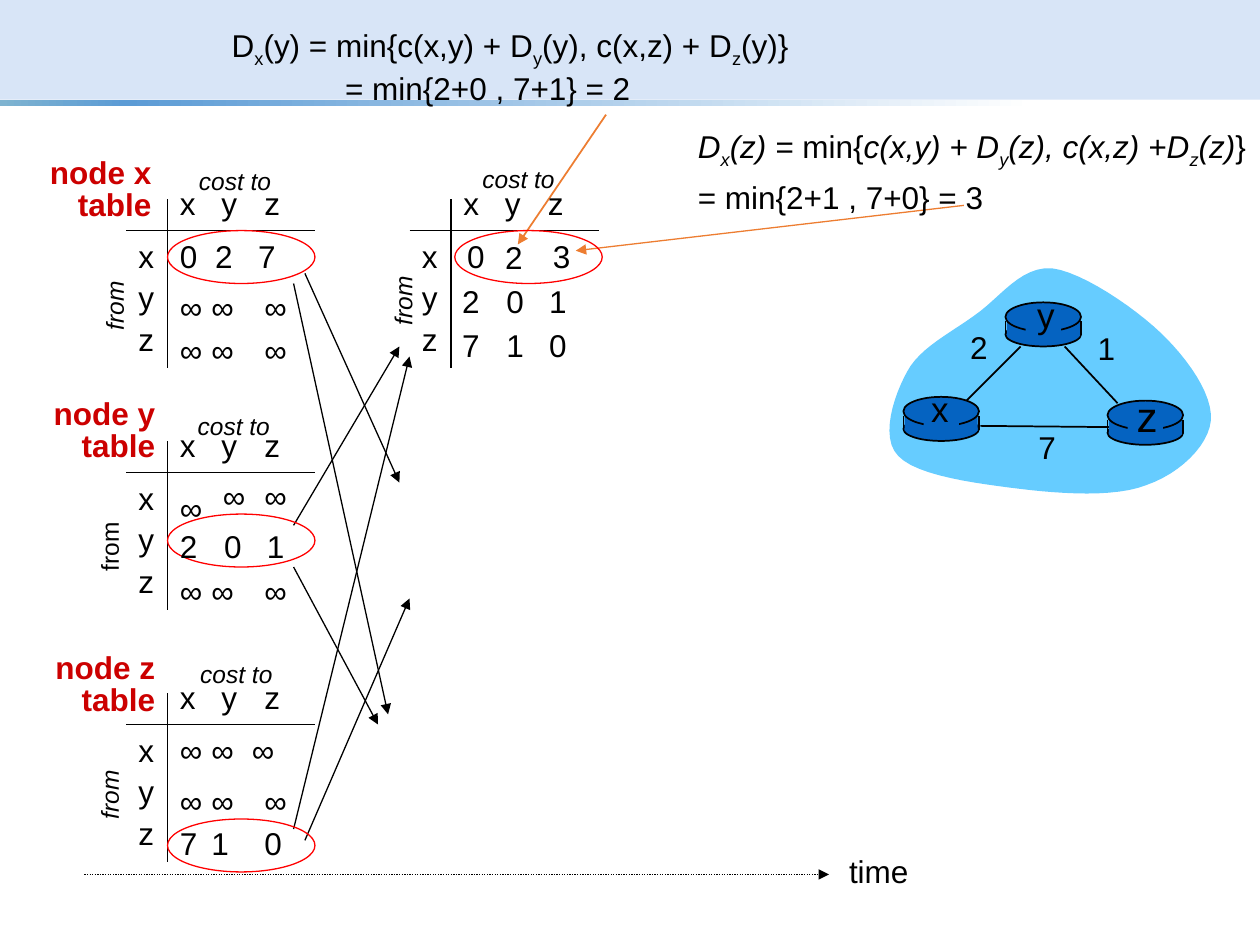
"""Build the distance-vector slide: node tables, their exchanges over time and the three-router network."""
from lxml import etree
from pptx import Presentation
from pptx.dml.color import RGBColor
from pptx.enum.dml import MSO_LINE
from pptx.enum.shapes import MSO_CONNECTOR, MSO_SHAPE
from pptx.enum.text import MSO_ANCHOR, MSO_AUTO_SIZE, PP_ALIGN
from pptx.oxml.ns import qn
from pptx.util import Pt

PX = 9144
BLACK, RED, ORANGE, BLUE = "000000", "FF0000", "ED7D31", "0563C1"
rgb = RGBColor.from_string

prs = Presentation()
prs.slide_width, prs.slide_height = 1000 * PX, 750 * PX
s = prs.slides.add_slide(prs.slide_layouts[6])


def shape(kind, x, y, w, h, fill=None, line=None, width=0.75):
    sp = s.shapes.add_shape(kind, x * PX, y * PX, w * PX, h * PX)
    sp.shadow.inherit = False
    if fill:
        sp.fill.solid()
        sp.fill.fore_color.rgb = rgb(fill)
    else:
        sp.fill.background()
    if line:
        sp.line.color.rgb = rgb(line)
        sp.line.width = Pt(width)
    else:
        sp.line.fill.background()
    return sp


def text(x, y, w, h, lines, size=18, color=BLACK, bold=False, italic=False,
         align=PP_ALIGN.LEFT, spacing=None, stops=(), anchor=MSO_ANCHOR.TOP):
    sp = s.shapes.add_textbox(x * PX, y * PX, w * PX, h * PX)
    tf = sp.text_frame
    tf.word_wrap = False
    tf.auto_size = MSO_AUTO_SIZE.SHAPE_TO_FIT_TEXT
    tf.vertical_anchor = anchor
    for i, runs in enumerate(lines):
        p = tf.paragraphs[0] if i == 0 else tf.add_paragraph()
        p.alignment = align
        p.line_spacing = spacing
        if stops:
            tabs = etree.SubElement(p._p.get_or_add_pPr(), qn("a:tabLst"))
            for stop in stops:
                etree.SubElement(tabs, qn("a:tab"), pos=str(stop * PX), algn="l")
        for run in [(runs, "")] if isinstance(runs, str) else runs:
            r = p.add_run()
            r.text, style = run
            r.font.name, r.font.size = "Arial", Pt(size)
            r.font.bold, r.font.italic = bold, italic or "i" in style
            r.font.color.rgb = rgb(color)
            if "_" in style:
                r.font._element.set("baseline", "-25000")
    return sp


band = shape(MSO_SHAPE.RECTANGLE, 0, 0, 1000, 79, "C8DAF4")
clr = band.fill._xPr.find(".//" + qn("a:srgbClr"))
etree.SubElement(clr, qn("a:alpha"), val="70000")
stripe = shape(MSO_SHAPE.RECTANGLE, 0, 79, 1000, 5)
stripe.fill.gradient()
stripe.fill.gradient_angle = 0
gs_list = stripe.fill._xPr.find(".//" + qn("a:gsLst"))
for gs in list(gs_list):
    gs_list.remove(gs)
for pos, color in [(0, "7EB3D0"), (10, "5B9BD5"), (82, "FFFFFF"), (96, "FFFFFF")]:
    gs = etree.SubElement(gs_list, qn("a:gs"), pos=str(pos * 1000))
    etree.SubElement(gs, qn("a:srgbClr"), val=color)

start = (720, 295)
curves = [
    ((730, 276), (755, 264), (774, 250)), ((793, 237), (810, 211), (835, 213)),
    ((859, 216), (900, 244), (921, 264)), ((942, 284), (963, 313), (961, 334)),
    ((959, 354), (936, 376), (910, 385)), ((885, 395), (842, 392), (809, 388)),
    ((777, 384), (728, 378), (713, 362)), ((698, 347), (710, 313), (720, 295)),
]
outline, a = [], start
for b, c, d in curves:
    for t in (n / 12 for n in range(1, 13)):
        outline.append([PX * ((1 - t) ** 3 * a[k] + 3 * (1 - t) ** 2 * t * b[k]
                              + 3 * (1 - t) * t ** 2 * c[k] + t ** 3 * d[k]) for k in (0, 1)])
    a = d
builder = s.shapes.build_freeform(start[0] * PX, start[1] * PX)
builder.add_line_segments(outline, close=True)
cloud = builder.convert_to_shape()
cloud.shadow.inherit = False
cloud.fill.solid()
cloud.fill.fore_color.rgb = rgb("66CCFF")
cloud.line.fill.background()

# name, axis corner, title box, "cost to" corner, "from" corner, "from" italic, ellipse corner
tables = [
    ("x", (133, 158), (29, 121, 101), (148, 127), (61, 226), True, (133, 183)),
    ("", (358, 158), None, (373, 125), (290, 222), True, (361, 183)),
    ("y", (133, 350), (32, 312, 101), (147, 321), (57, 417), False, (133, 408)),
    ("z", (133, 550), (34, 514, 99), (149, 518), (57, 614), True, (133, 650)),
]
routers = [("x", 717, 315, 20, (727, 303, 38, 60)), ("z", 879, 318, 24, (890, 305, 41, 69)),
           ("y", 798, 240, 20, (811, 228, 38, 60))]

lines = [((x1, y1, x2, y2), BLACK, 0.75, True) for x1, y1, x2, y2 in [
    (242, 217, 317, 383), (233, 225, 308, 567), (233, 417, 317, 275),
    (233, 450, 300, 575), (233, 658, 325, 283), (242, 667, 325, 475), (67, 694, 658, 694)]]
lines += [((481, 91, 411, 194), ORANGE, 1, True), ((765, 163, 457, 199), ORANGE, 0.75, True)]
lines += [(ends, BLACK, 1, False) for ends in [
    (767, 318, 810, 275), (845, 275, 887, 320), (882, 339, 778, 338)]]
for _, (x, y), *_ in tables:
    lines += [((x, y, x, y + 134), BLACK, 0.75, False),
              ((x - 33, y + 25, x + 117, y + 25), BLACK, 0.75, False)]
for _, x, y, *_ in routers:
    lines += [((side, y + 15, side, y + 26), BLACK, 1, False) for side in (x, x + 60)]
for ends, color, width, arrow in lines:
    cx = s.shapes.add_connector(MSO_CONNECTOR.STRAIGHT, *(v * PX for v in ends))
    cx.line.color.rgb = rgb(color)
    cx.line.width = Pt(width)
    if ends[1] == ends[3] == 694:
        cx.line.dash_style = MSO_LINE.ROUND_DOT
    if arrow:
        etree.SubElement(cx.line._get_or_add_ln(), qn("a:tailEnd"), type="triangle")
    etree.SubElement(cx._element.spPr, qn("a:effectLst"))

for name, x, y, size, box in routers:
    shape(MSO_SHAPE.OVAL, x, y + 16, 60, 19, BLUE, BLACK, 1)
    shape(MSO_SHAPE.RECTANGLE, x + 1, y + 15, 58, 12, BLUE)
    shape(MSO_SHAPE.OVAL, x, y, 60, 23, BLUE, BLACK, 1)
    shape(MSO_SHAPE.RECTANGLE, x + 16, y + 4, 28, 26, BLUE)
    text(*box, [name], size, align=PP_ALIGN.CENTER)
for cost, x, y in [("1", 859, 256), ("2", 758, 255), ("7", 812, 335)]:
    text(x, y, 38, 55, [cost], align=PP_ALIGN.CENTER)

for name, (x, y), title, cost_to, from_at, slanted, ring in tables:
    text(x, y - 17, 106, 40, ["x\ty\tz"], stops=(33, 67))
    for i, node in enumerate("xyz"):
        text(x - 33, y + 25 + 33 * i, 33, 40, [node])
    text(*cost_to, 82, 33, ["cost to"], 14, italic=True)
    text(*from_at, 59, 33, ["from"], 14, italic=slanted).rotation = 270
    if title:
        text(*title, 61, [f"node {name}", "table"], color="CC0000", bold=True,
             align=PP_ALIGN.RIGHT, spacing=0.85)
    shape(MSO_SHAPE.OVAL, *ring, 117, 42, line=RED)

for y, row in [(224, "∞∞∞"), (258, "∞∞∞"), (449, "∞∞∞"), (616, "∞∞∞"), (649, "710")]:
    for x, value in zip((133, 158, 200), row):
        text(x, y, 38 if value == "∞" else 34, 40, [value])
for x, y, value in [(167, 374, "∞"), (200, 374, "∞"), (361, 183, "0"), (391, 184, "2"), (429, 183, "3")]:
    text(x, y, 38 if value in "∞2" else 34, 40, [value])
text(133, 183, 102, 40, ["0\t2\t7"], stops=(28, 62))
text(133, 383, 108, 70, ["∞", "2\t0\t1"], stops=(35, 69))
text(133, 575, 108, 40, ["∞\t∞\t∞"], stops=(25, 57))
text(357, 219, 108, 40, ["2\t0\t1"], stops=(35, 69))
text(357, 254, 108, 40, ["7\t1\t0"], stops=(35, 69))
text(664, 671, 67, 40, ["time"])

formula = text(174, 18, 472, 70, [
    [("D", ""), ("x", "_"), ("(y) = min{c(x,y) + D", ""), ("y", "_"),
     ("(y), c(x,z) + D", ""), ("z", "_"), ("(y)}", "")],
    "= min{2+0 , 7+1} = 2"], align=PP_ALIGN.JUSTIFY, anchor=MSO_ANCHOR.MIDDLE)
formula.text_frame.paragraphs[1]._p.get_or_add_pPr().set("marL", str(90 * PX))
text(544, 91, 455, 83, [
    [("D", "i"), ("x", "i_"), ("(z) = ", "i"), ("min{", ""), ("c(x,y) + D", "i"), ("y", "i_"),
     ("(z), c(x,z) +D", "i"), ("z", "i_"), ("(z)", "i"), ("}", "")],
    "= min{2+1 , 7+0} = 3"], align=PP_ALIGN.JUSTIFY, spacing=1.2, anchor=MSO_ANCHOR.MIDDLE)

prs.save("out.pptx")
